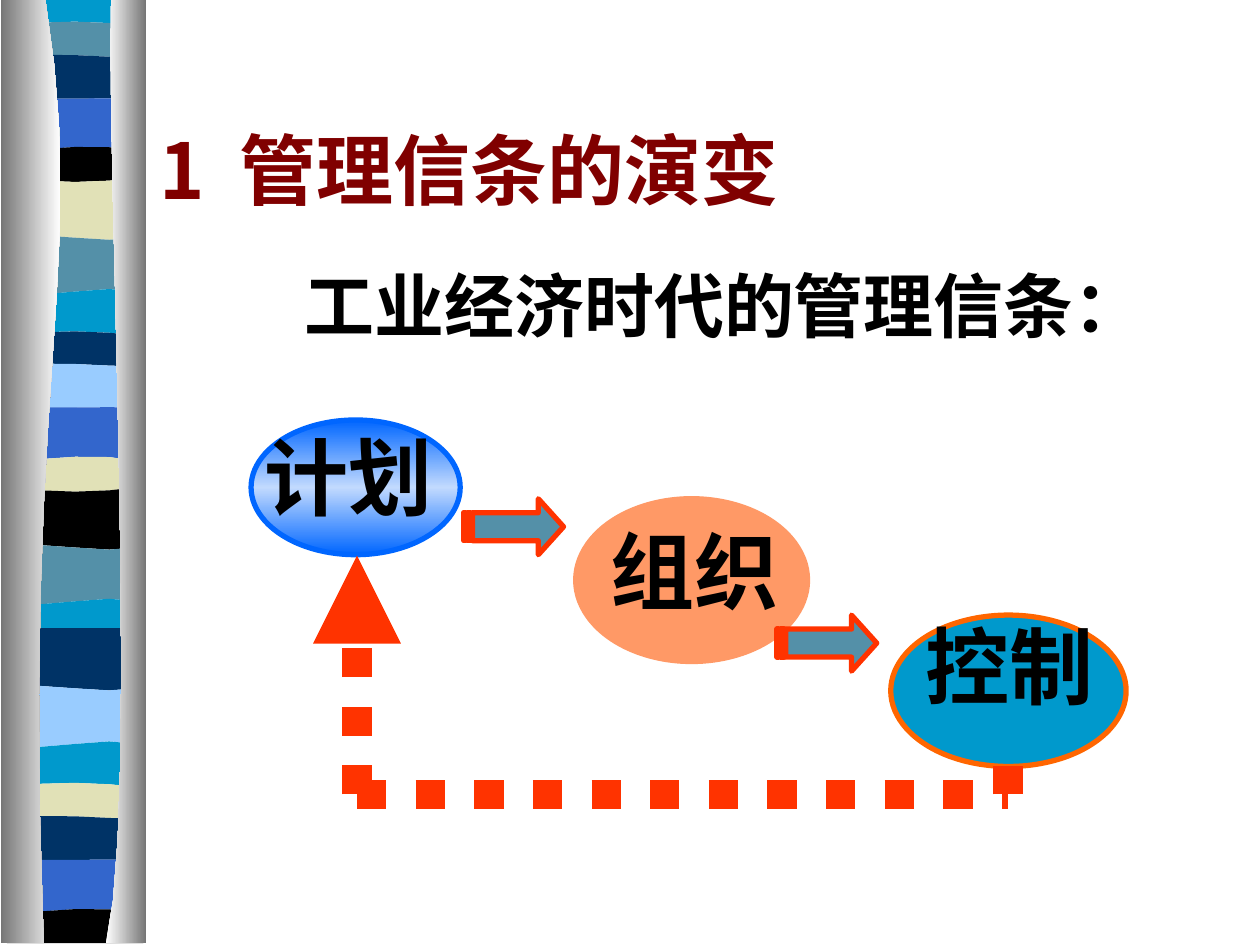
from lxml.etree import SubElement
from pptx import Presentation
from pptx.dml.color import RGBColor
from pptx.enum.dml import MSO_LINE
from pptx.enum.shapes import MSO_CONNECTOR, MSO_SHAPE
from pptx.enum.text import MSO_ANCHOR
from pptx.oxml.ns import qn
from pptx.util import Pt

COLORS = {
    "cyan": "0099CC", "teal": "5490A8", "navy": "003366", "blue": "3366CC",
    "sky": "99CCFF", "sand": "E1E1B7", "black": "000000", "white": "FFFFFF",
    "gray": "767676", "maroon": "800000", "red": "FF3300", "orange": "FF6600",
    "peach": "FF9966", "azure": "0066FF", "pale": "C2DAFE",
}
SANS, SERIF = "Noto Sans CJK SC", "Times New Roman"

WAVES = {
    "flat": (0, 0, 0, 0), "hump": (0, -4, -3, 0), "lift": (0, -4, 0, 0),
    "sag": (0, 2, 0, 1), "arch": (0, -2, -6, 0), "bowl": (0, 4, 4, 0),
    "rise": (0, -4, 5, 0), "fall": (0, 5, -6, 0),
}
BANDS = [
    ("cyan", 0, "flat"), ("teal", 15, "hump"), ("navy", 33, "lift"),
    ("blue", 55.5, "sag"), ("black", 87, "arch"), ("sand", 101, "bowl"),
    ("teal", 135.5, "rise"), ("cyan", 167, "fall"), ("navy", 192, "hump"),
    ("sky", 209.5, "lift"), ("blue", 232, "sag"), ("sand", 264, "arch"),
    ("black", 278, "bowl"), ("teal", 312.5, "rise"), ("cyan", 344, "fall"),
    ("navy", 359, "flat"), ("sky", 393, "rise"), ("cyan", 425.5, "fall"),
    ("sand", 450, "hump"), ("navy", 468, "lift"), ("blue", 490.5, "sag"),
    ("black", 522.5, "arch"),
]
BAND_LEFT, BAND_RIGHT, BAND_BOTTOM = 4, 82, 539
PILLARS = [
    (0.5, [(26, 0), (51, 155.5), (12, 213), (25, 539)], ("gray", "white")),
    (83.5, [(63.5, 0), (60.5, 90), (80, 465), (60.5, 539)], ("white", "gray")),
]
STEPS = [
    {"text": "控制", "oval": (509, 351.5, 134.5, 86.5), "label": (522, 348, 114),
     "fill": ["cyan"], "line": "orange"},
    {"text": "组织", "oval": (329, 285, 132.5, 93), "label": (342, 294, 120),
     "fill": ["peach"], "line": "peach"},
    {"text": "计划", "oval": (143.5, 240, 119.5, 77), "label": (144, 240, 120),
     "fill": ["azure", "pale", "azure"], "line": "azure"},
]
ARROWS = [(265, 285), (444, 351.5)]
FEEDBACK = [((204, 454), (204, 317.5), True), ((204, 454), (576, 454), False),
            ((576, 454), (576, 438), False)]


def rgb(name):
    return RGBColor.from_string(COLORS[name])


def points(values):
    return [Pt(value) for value in values]


def curve(controls, steps):
    result = []
    for step in range(steps + 1):
        t = step / steps
        weights = ((1 - t) ** 3, 3 * t * (1 - t) ** 2, 3 * t * t * (1 - t), t ** 3)
        result.append(tuple(sum(w * c[axis] for w, c in zip(weights, controls))
                            for axis in (0, 1)))
    return result


def paint(shape, fill, line=None, angle=0):
    shape.shadow.inherit = False
    if len(fill) == 1:
        shape.fill.solid()
        shape.fill.fore_color.rgb = rgb(fill[0])
    else:
        shape.fill.gradient()
        shape.fill.gradient_angle = angle
        stops = shape._element.spPr.find(qn("a:gradFill")).find(qn("a:gsLst"))
        for stop in list(stops):
            stops.remove(stop)
        for index, name in enumerate(fill):
            stop = SubElement(stops, qn("a:gs"), pos=str(index * 100000 // (len(fill) - 1)))
            SubElement(stop, qn("a:srgbClr"), val=COLORS[name])
    if line:
        shape.line.color.rgb = rgb(line)
        shape.line.width = Pt(3)
    else:
        shape.line.fill.background()


def add_outline(page, outline, fill):
    corners = [points(corner) for corner in outline]
    builder = page.shapes.build_freeform(*corners[0], scale=1)
    builder.add_line_segments(corners[1:], close=True)
    paint(builder.convert_to_shape(), fill)


def add_text(page, text, place, size, color="black", font=SERIF,
             anchor=MSO_ANCHOR.TOP, left=7.2, top=3.6):
    box = page.shapes.add_textbox(*points(place))
    frame = box.text_frame
    frame.word_wrap = True
    frame.vertical_anchor = anchor
    frame.margin_left, frame.margin_top = Pt(left), Pt(top)
    span = frame.paragraphs[0].add_run()
    span.text = text
    span.font.size, span.font.bold, span.font.name = Pt(size), True, font
    span.font.color.rgb = rgb(color)
    SubElement(span.font._element, qn("a:ea"), typeface=SANS)


def add_feedback(page, start, end, has_head):
    connector = page.shapes.add_connector(MSO_CONNECTOR.STRAIGHT, *points(start + end))
    connector.line.color.rgb = rgb("red")
    connector.line.width = Pt(16.75)
    connector.line.dash_style = MSO_LINE.ROUND_DOT
    if has_head:
        SubElement(connector._element.spPr.find(qn("a:ln")), qn("a:tailEnd"), type="triangle")
    SubElement(connector._element.spPr, qn("a:effectLst"))


def main():
    """Build the slide on the management creed of the industrial age."""
    deck = Presentation()
    deck.slide_width, deck.slide_height = Pt(720), Pt(540)
    page = deck.slides.add_slide(deck.slide_layouts[6])

    third = (BAND_RIGHT - BAND_LEFT) / 3
    edges = []
    for _, y, wave in BANDS:
        controls = [(BAND_LEFT + i * third, y + shift) for i, shift in enumerate(WAVES[wave])]
        edges.append(curve(controls, steps=1 if wave == "flat" else 4))
    edges.append([(BAND_LEFT, BAND_BOTTOM), (BAND_RIGHT, BAND_BOTTOM)])
    for (color, _, _), upper, lower in zip(BANDS, edges, edges[1:]):
        add_outline(page, upper + lower[::-1], [color])
    for side, controls, fill in PILLARS:
        add_outline(page, curve(controls, steps=12) + [(side, BAND_BOTTOM), (side, 0)], fill)

    for step in STEPS:
        oval = page.shapes.add_shape(MSO_SHAPE.OVAL, *points(step["oval"]))
        paint(oval, step["fill"], step["line"], angle=270)
    for left, top in ARROWS:
        arrow = page.shapes.add_shape(MSO_SHAPE.STRIPED_RIGHT_ARROW,
                                      *points((left, top, 57, 32)))
        arrow.adjustments[0], arrow.adjustments[1] = 0.5, 0.45
        paint(arrow, ["teal"], "red")
    for start, end, has_head in FEEDBACK:
        add_feedback(page, start, end, has_head)

    add_text(page, "1  管理信条的演变", (84, 66, 603, 60.5), 44, color="maroon",
             font=SANS, anchor=MSO_ANCHOR.MIDDLE)
    add_text(page, "工业经济时代的管理信条：", (90, 144, 574.5, 122), 40, left=84, top=6)
    for step in reversed(STEPS):
        add_text(page, step["text"], (*step["label"], 65), 48, top=3)
    deck.save("out.pptx")


if __name__ == "__main__":
    main()
